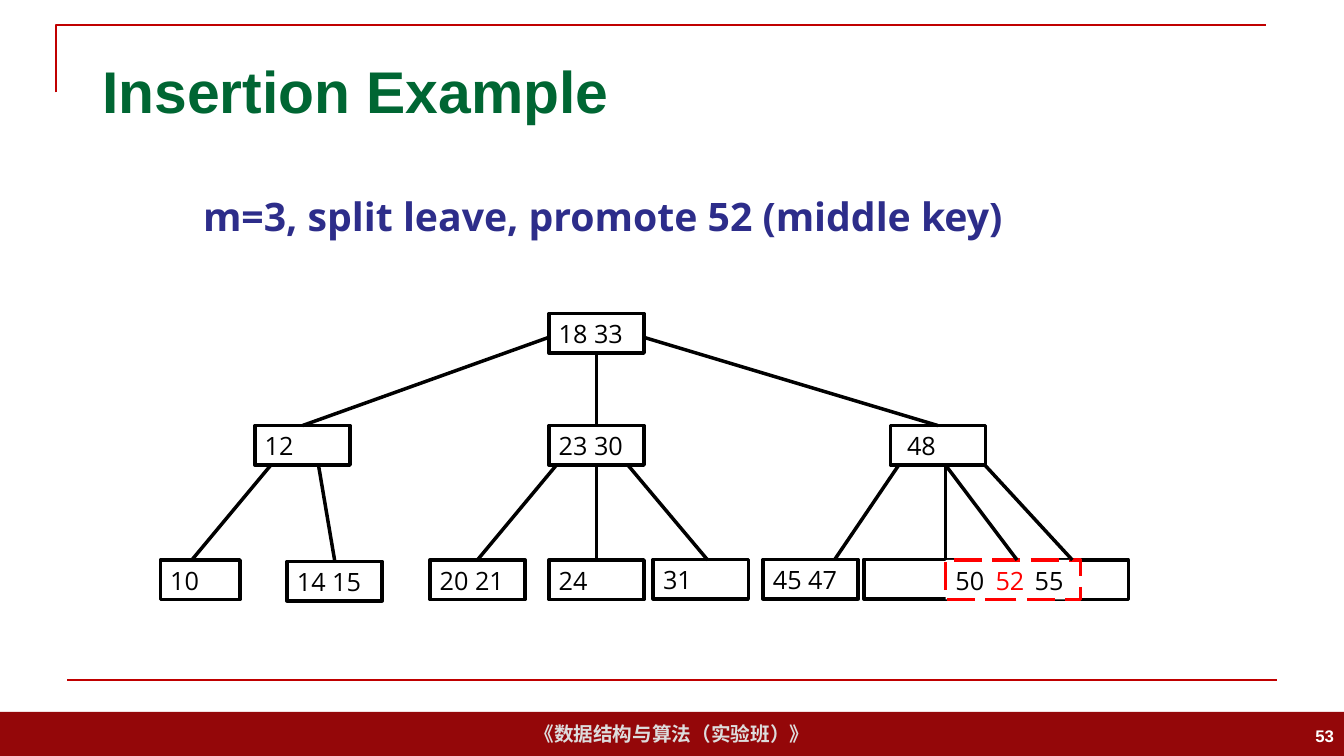
from pptx import Presentation
from pptx.dml.color import RGBColor
from pptx.enum.dml import MSO_LINE
from pptx.enum.shapes import MSO_CONNECTOR, MSO_SHAPE
from pptx.enum.text import MSO_ANCHOR, PP_ALIGN
from pptx.oxml.ns import qn
from pptx.util import Pt
from lxml import etree

RECT = MSO_SHAPE.RECTANGLE
STRAIGHT = MSO_CONNECTOR.STRAIGHT
LONG_DASH = MSO_LINE.LONG_DASH
TOP, MIDDLE = MSO_ANCHOR.TOP, MSO_ANCHOR.MIDDLE
LEFT, CENTER, RIGHT = PP_ALIGN.LEFT, PP_ALIGN.CENTER, PP_ALIGN.RIGHT

COLORS = {
    "black": "000000", "white": "FFFFFF", "red": "FF0000",
    "rule": "C00000", "footer": "940709", "footer_text": "DDDDDD",
    "title": "006633", "caption": "2D2D8A",
}
HEADING_FONT, TREE_FONT = "Arial", "Open Sans"
NODE_W, NODE_H = 68, 28.2
ROOT_Y, INNER_Y, LEAF_Y = 224, 304, 400
TREE_LINE, RULE_LINE = 2.5, 1.5

# Keys, left, top, width, left inset
NODES = [
    ("", 617, 399.6, NODE_W, 7.2),
    ("", 738, LEAF_Y, NODE_W, 7.2),
    ("18 33", 392, ROOT_Y, NODE_W, 7.2),
    ("12", 182, INNER_Y, NODE_W, 7.2),
    ("23 30", 392, INNER_Y, NODE_W, 7.2),
    ("48", 636, INNER_Y, NODE_W, 11.9),
    ("10", 114.5, LEAF_Y, 57, 7.2),
    ("14 15", 205, 401, NODE_W, 7.2),
    ("20 21", 307, LEAF_Y, NODE_W, 7.2),
    ("24", 392, LEAF_Y, NODE_W, 7.2),
    ("31", 466.5, 399.6, NODE_W, 7.2),
    ("45 47", 545, 399.6, NODE_W, 7.2),
]
# Parent x, child x
LEAF_EDGES = [
    (193.5, 137), (227.5, 239), (397.5, 341), (426, 426), (448.5, 505.5),
    (642, 596), (675.4, 726.5), (675.4, 675.4), (703.5, 766),
]
# Key, left, width, colour
SPLIT_KEYS = [("52", 704, 40, "red"), ("50", 675.4, 40, "black"),
              ("55", 732, 54, "black")]


def rgb(name):
    return RGBColor.from_string(COLORS[name])


def write(shape, text, size, color, font, bold=False, align=LEFT,
          anchor=TOP, wrap=True):
    frame = shape.text_frame
    frame.word_wrap = wrap
    frame.vertical_anchor = anchor
    frame.text = text
    paragraph = frame.paragraphs[0]
    paragraph.alignment = align
    style = paragraph.font
    style.size, style.name, style.bold = Pt(size), font, bold
    style.color.rgb = rgb(color)


def add_label(slide, box, text, size, color, font, **options):
    label = slide.shapes.add_textbox(*map(Pt, box))
    write(label, text, size, color, font, **options)


def add_box(slide, box, fill, line=None):
    shape = slide.shapes.add_shape(RECT, *map(Pt, box))
    shape.shadow.inherit = False
    shape.fill.solid()
    shape.fill.fore_color.rgb = rgb(fill)
    if line:
        shape.line.color.rgb = rgb(line)
        shape.line.width = Pt(TREE_LINE)
    else:
        shape.line.fill.background()
    return shape


def add_line(slide, start, end, color="black", width=TREE_LINE):
    line = slide.shapes.add_connector(STRAIGHT, *map(Pt, start + end))
    line.line.color.rgb = rgb(color)
    line.line.width = Pt(width)
    etree.SubElement(line._element.spPr, qn("a:effectLst"))


def add_frame(slide):
    # Footer band
    footer = add_box(slide, (0, 508.5, 960, 31.5), "footer")
    write(footer, "《数据结构与算法（实验班）》", 14, "footer_text", HEADING_FONT,
          bold=True, align=CENTER, anchor=MIDDLE, wrap=False)
    # Corner rule and bottom rule
    builder = slide.shapes.build_freeform(Pt(40), Pt(66), scale=1.0)
    builder.add_line_segments([(Pt(40), Pt(18)), (Pt(904), Pt(18))], close=False)
    corner = builder.convert_to_shape()
    corner.shadow.inherit = False
    corner.fill.background()
    corner.line.color.rgb = rgb("rule")
    corner.line.width = Pt(RULE_LINE)
    add_line(slide, (48, 486), (912, 486), "rule", RULE_LINE)


def add_tree(slide):
    # Nodes
    for keys, x, y, width, inset in NODES:
        node = add_box(slide, (x, y, width, NODE_H), "white", "black")
        if keys:
            node.text_frame.margin_left = Pt(inset)
            write(node, keys, 18, "black", TREE_FONT)
    # Leaf being split
    split_leaf = add_box(slide, (675.4, LEAF_Y, 96.5, NODE_H), "white", "red")
    split_leaf.line.dash_style = LONG_DASH
    # Edges
    add_line(slide, (392, 241), (216, INNER_Y))
    add_line(slide, (426, ROOT_Y + NODE_H), (426, INNER_Y))
    add_line(slide, (460, 241), (670, INNER_Y))
    for parent_x, child_x in LEAF_EDGES:
        add_line(slide, (parent_x, INNER_Y + NODE_H), (child_x, LEAF_Y))
    # Keys of the split leaf
    for key, x, width, color in SPLIT_KEYS:
        add_label(slide, (x, LEAF_Y, width, 29), key, 18, color, TREE_FONT)


def main():
    prs = Presentation()
    prs.slide_width, prs.slide_height = Pt(960), Pt(540)
    slide = prs.slides.add_slide(prs.slide_layouts[6])
    add_frame(slide)
    add_label(slide, (66, 29, 828, 71), "Insertion Example", 42, "title",
              HEADING_FONT, bold=True, anchor=MIDDLE)
    add_label(slide, (744, 511, 216, 29), "53", 12, "white", HEADING_FONT,
              bold=True, align=RIGHT, anchor=MIDDLE)
    add_tree(slide)
    add_label(slide, (138, 134, 667, 63),
              "m=3, split leave, promote 52 (middle key)", 28, "caption",
              TREE_FONT, bold=True)
    prs.save("out.pptx")


if __name__ == "__main__":
    main()
